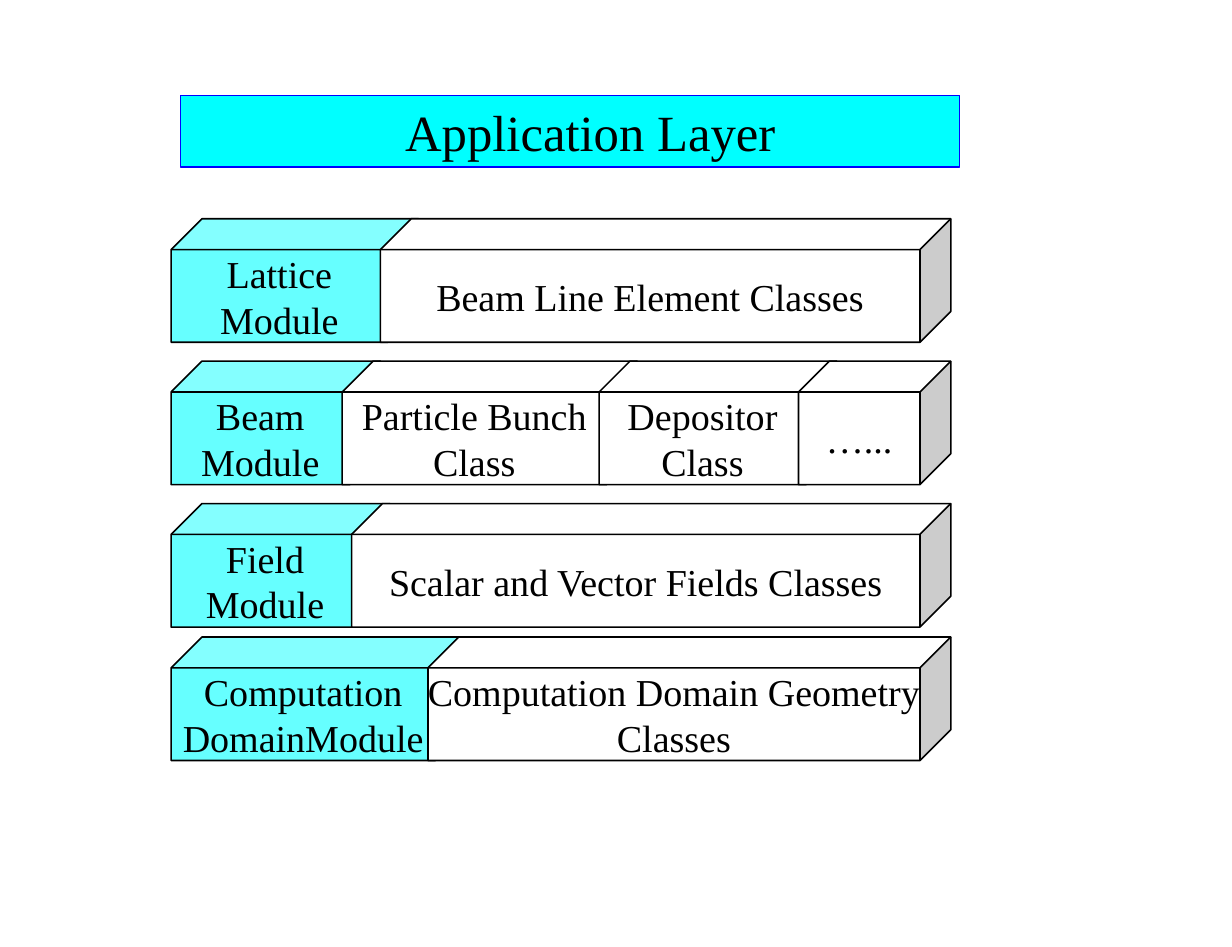
from pptx import Presentation
from pptx.dml.color import RGBColor
from pptx.enum.shapes import MSO_SHAPE
from pptx.enum.text import MSO_ANCHOR, MSO_AUTO_SIZE, PP_ALIGN
from pptx.util import Cm, Pt

CUBE = MSO_SHAPE.CUBE
TOP, MIDDLE = MSO_ANCHOR.TOP, MSO_ANCHOR.MIDDLE
LEFT, CENTER = PP_ALIGN.LEFT, PP_ALIGN.CENTER
NO_AUTOFIT = MSO_AUTO_SIZE.NONE

BLACK = RGBColor(0x00, 0x00, 0x00)
WHITE = RGBColor(0xFF, 0xFF, 0xFF)
CYAN = RGBColor(0x00, 0xFF, 0xFF)
LIGHT_CYAN = RGBColor(0x66, 0xFF, 0xFF)
BLUE = RGBColor(0x00, 0x00, 0xFF)
FONT = "Times New Roman"

ROW_LEFT, ROW_WIDTH, ROW_HEIGHT = 3.81, 17.36, 2.75
OVERLAP = 0.85  # how far a block reaches behind the next one

# Top of each row in cm, then its blocks: offset from the row's left, label
ROWS = [
    (4.87, [(0, "Lattice\nModule"), (4.66, "Beam Line Element Classes")]),
    (8.04, [(0, "Beam\nModule"), (3.81, "Particle Bunch\nClass"),
            (9.53, "Depositor\nClass"), (13.97, "…...")]),
    (11.21, [(0, "Field\nModule"),
             (4.02, "Scalar and Vector Fields Classes")]),
    (14.18, [(0, "Computation\nDomainModule"),
             (5.72, "Computation Domain Geometry\nClasses")]),
]


def style_box(s, fill, line, line_width):
    s.fill.solid()
    s.fill.fore_color.rgb = fill
    s.line.color.rgb = line
    s.line.width = Pt(line_width)


def set_text(s, text, size, align, anchor):
    tf = s.text_frame
    tf.text = text
    tf.vertical_anchor = anchor
    for p in tf.paragraphs:
        p.alignment = align
        for r in p.runs:
            r.font.name = FONT
            r.font.size = Pt(size)
            r.font.color.rgb = BLACK
    return tf


def add_title(slide, left, top, width, height):
    s = slide.shapes.title
    s.left, s.top, s.width, s.height = Cm(left), Cm(top), Cm(width), Cm(height)
    style_box(s, CYAN, BLUE, 0.75)
    tf = set_text(s, "Application Layer", 32, LEFT, TOP)
    tf.auto_size = NO_AUTOFIT
    tf.margin_left = Cm(5)


def add_block(slide, left, top, width, height, label, fill):
    s = slide.shapes.add_shape(CUBE, Cm(left), Cm(top), Cm(width), Cm(height))
    s.adjustments[0] = 0.25
    s.shadow.inherit = False
    style_box(s, fill, BLACK, 1)
    set_text(s, label, 24, CENTER, MIDDLE).word_wrap = False


def add_row(slide, left, top, width, height, blocks):
    """Place a module block and its class blocks, each in front of the last."""
    ends = [offset + OVERLAP for offset, _ in blocks[1:]] + [width]
    for i, ((offset, label), end) in enumerate(zip(blocks, ends)):
        fill = WHITE if i else LIGHT_CYAN
        add_block(slide, left + offset, top, end - offset, height, label, fill)


def main():
    prs = Presentation()
    prs.slide_width, prs.slide_height = Cm(27.43), Cm(21.08)
    slide = prs.slides.add_slide(prs.slide_layouts.get_by_name("Title Only"))
    add_title(slide, 4.02, 2.12, 17.35, 1.6)
    for top, blocks in ROWS:
        add_row(slide, ROW_LEFT, top, ROW_WIDTH, ROW_HEIGHT, blocks)
    prs.save("out.pptx")


if __name__ == "__main__":
    main()
